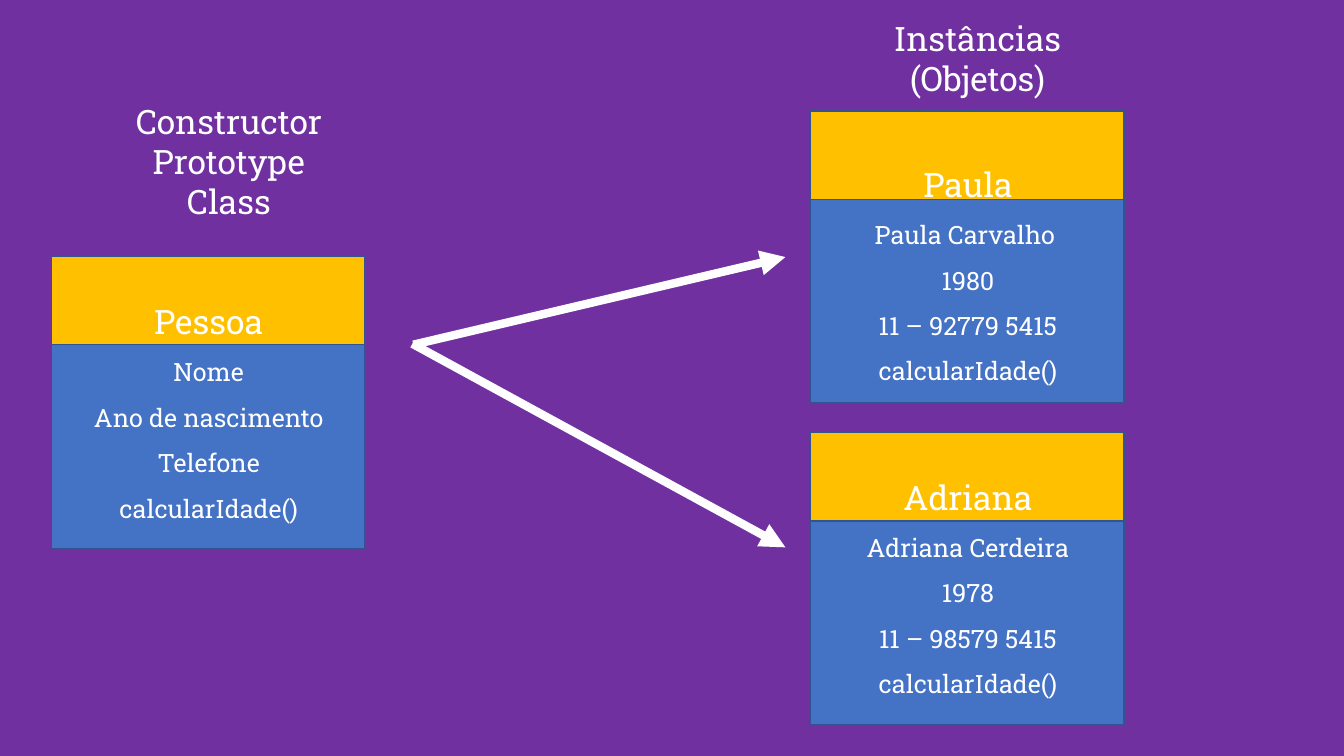
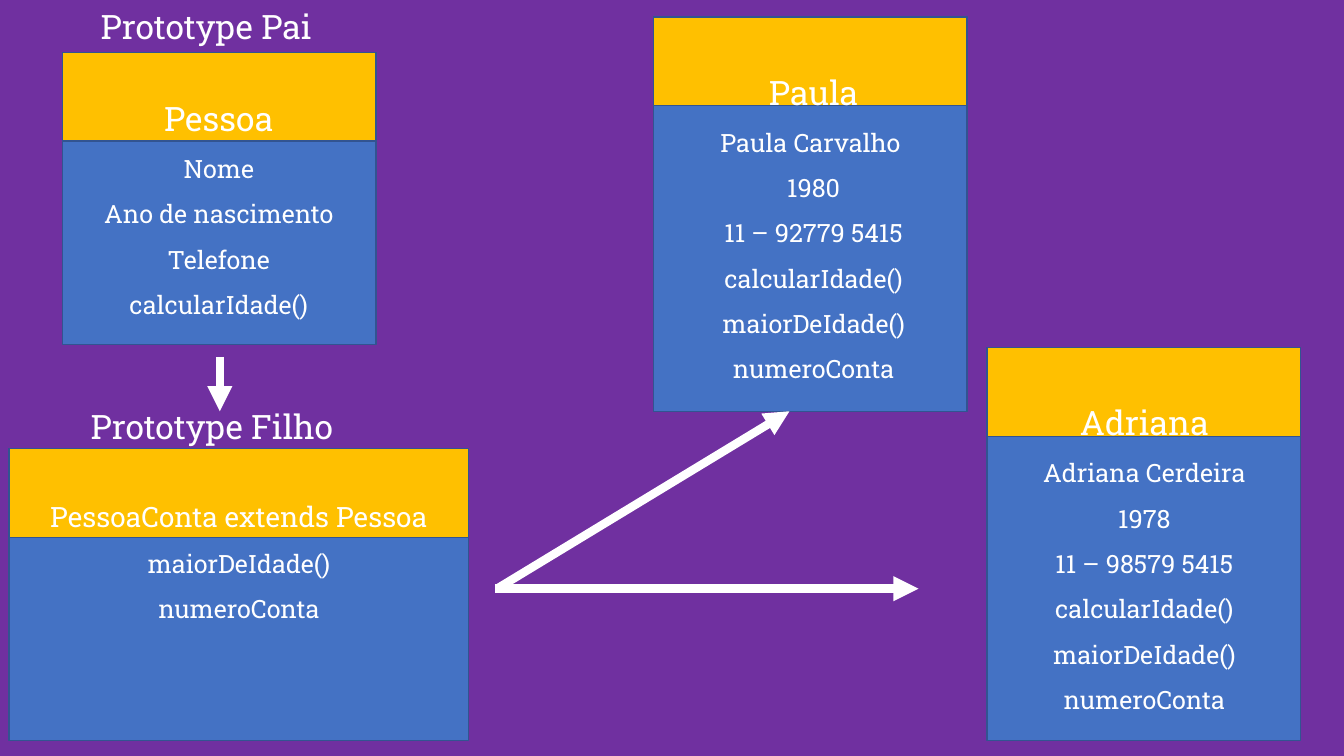
from lxml import etree
from pptx import Presentation
from pptx.dml.color import RGBColor
from pptx.enum.shapes import MSO_CONNECTOR, MSO_SHAPE
from pptx.enum.text import MSO_AUTO_SIZE, PP_ALIGN
from pptx.oxml.ns import qn
from pptx.util import Inches, Pt

RECTANGLE = MSO_SHAPE.RECTANGLE
STRAIGHT = MSO_CONNECTOR.STRAIGHT
GROW = MSO_AUTO_SIZE.SHAPE_TO_FIT_TEXT
LEFT, CENTER = PP_ALIGN.LEFT, PP_ALIGN.CENTER

PURPLE = RGBColor(0x70, 0x30, 0xA0)
BLUE = RGBColor(0x44, 0x72, 0xC4)
OUTLINE = RGBColor(0x32, 0x54, 0x91)
GOLD = RGBColor(0xFF, 0xC0, 0x00)
WHITE = RGBColor(0xFF, 0xFF, 0xFF)

FONT = "Roboto Slab"
CARD_WIDTH = 3.11
HEADER_HEIGHT = 0.88
HEADING = {"size": Pt(24)}
SMALL_HEADING = {"size": Pt(20)}
MEMBER = {"size": Pt(18)}

PERSON = ["Pessoa", "Nome", "Ano de nascimento", "Telefone", "calcularIdade()"]
PAULA = ["Paula", "Paula Carvalho ", "1980", "11 – 92779 5415", "calcularIdade()"]
ADRIANA = ["Adriana", "Adriana Cerdeira", "1978", "11 – 98579 5415", "calcularIdade()"]
ACCOUNT_MEMBERS = ["maiorDeIdade()", "numeroConta"]
ACCOUNT = ["PessoaConta extends Pessoa"] + ACCOUNT_MEMBERS


class Deck:
    def __init__(self):
        self.presentation = Presentation()
        self.presentation.slide_width = Inches(13.33)
        self.presentation.slide_height = Inches(7.5)
        self.slide = None

    def add_slide(self):
        self.slide = self.presentation.slides.add_slide(self.presentation.slide_layouts[6])
        fill = self.slide.background.fill
        fill.solid()
        fill.fore_color.rgb = PURPLE

    def rectangle(self, shapes, box, color):
        shape = shapes.add_shape(RECTANGLE, *map(Inches, box))
        shape.shadow.inherit = False
        shape.fill.solid()
        shape.fill.fore_color.rgb = color
        shape.line.color.rgb = OUTLINE
        shape.line.width = Pt(1)

    def text(self, shapes, box, lines, align=CENTER, wrap=False):
        frame = shapes.add_textbox(*map(Inches, box)).text_frame
        frame.word_wrap = wrap
        frame.auto_size = GROW
        for index, (words, font_format, spacing) in enumerate(lines):
            paragraph = frame.add_paragraph() if index else frame.paragraphs[0]
            paragraph.alignment = align
            paragraph.line_spacing = spacing
            run = paragraph.add_run()
            run.text = words
            for name, value in {"name": FONT, **font_format}.items():
                setattr(run.font, name, value)
            run.font.color.rgb = WHITE

    def label(self, box, lines, align=CENTER):
        self.text(self.slide.shapes, box, [(words, HEADING, None) for words in lines], align)

    def card(self, left, top, height, lines, text_box, width=CARD_WIDTH, heading=HEADING):
        shapes = self.slide.shapes.add_group_shape().shapes
        self.rectangle(shapes, (left, top, width, height), BLUE)
        self.rectangle(shapes, (left, top, width, HEADER_HEIGHT), GOLD)
        title, *members = lines
        content = [(title, heading, 2.0)] + [(member, MEMBER, 1.5) for member in members]
        self.text(shapes, text_box, content, wrap=True)

    def arrow(self, start, end):
        connector = self.slide.shapes.add_connector(STRAIGHT, *map(Inches, start + end))
        connector.line.color.rgb = WHITE
        connector.line.width = Pt(6)
        properties = connector.element.spPr
        etree.SubElement(properties.find(qn("a:ln")), qn("a:tailEnd"), type="triangle")
        etree.SubElement(properties, qn("a:effectLst"))

    def save(self):
        self.presentation.save("out.pptx")


def build_instances(deck):
    deck.add_slide()
    deck.card(0.51, 2.54, 2.9, PERSON, (0.26, 2.54, 3.62, 2.67))
    deck.card(8.04, 4.29, 2.9, ADRIANA, (7.79, 4.28, 3.62, 3.24))
    deck.card(8.04, 1.1, 2.9, PAULA, (7.79, 1.18, 3.62, 3.24))
    deck.arrow((4.1, 3.42), (7.79, 2.55))
    deck.arrow((4.09, 3.41), (7.79, 5.43))
    deck.label((1.11, 0.95, 2.32, 1.31), ["Constructor", "Prototype", "Class"])
    deck.label((8.72, 0.13, 1.95, 0.91), ["Instâncias", "(Objetos)"])


def build_inheritance(deck):
    deck.add_slide()
    deck.card(0.62, 0.52, 2.9, PERSON, (0.36, 0.52, 3.62, 2.67))
    deck.card(9.79, 3.45, 3.9, ADRIANA + ACCOUNT_MEMBERS, (9.54, 3.54, 3.62, 4.6))
    deck.card(6.48, 0.17, 3.91, PAULA + ACCOUNT_MEMBERS, (6.26, 0.26, 3.62, 5.06))
    deck.label((0.9, 0.01, 2.54, 0.5), ["Prototype Pai"], LEFT)
    deck.card(0.09, 4.45, 2.9, ACCOUNT, (0.09, 4.57, 4.56, 1.63), 4.56, SMALL_HEADING)
    deck.label((0.8, 3.98, 2.91, 0.5), ["Prototype Filho"], LEFT)
    deck.arrow((4.91, 5.84), (9.11, 5.84))
    deck.arrow((4.93, 5.84), (7.83, 4.08))
    deck.arrow((2.18, 3.54), (2.18, 4.08))


def main():
    deck = Deck()
    build_instances(deck)
    build_inheritance(deck)
    deck.save()


if __name__ == "__main__":
    main()
